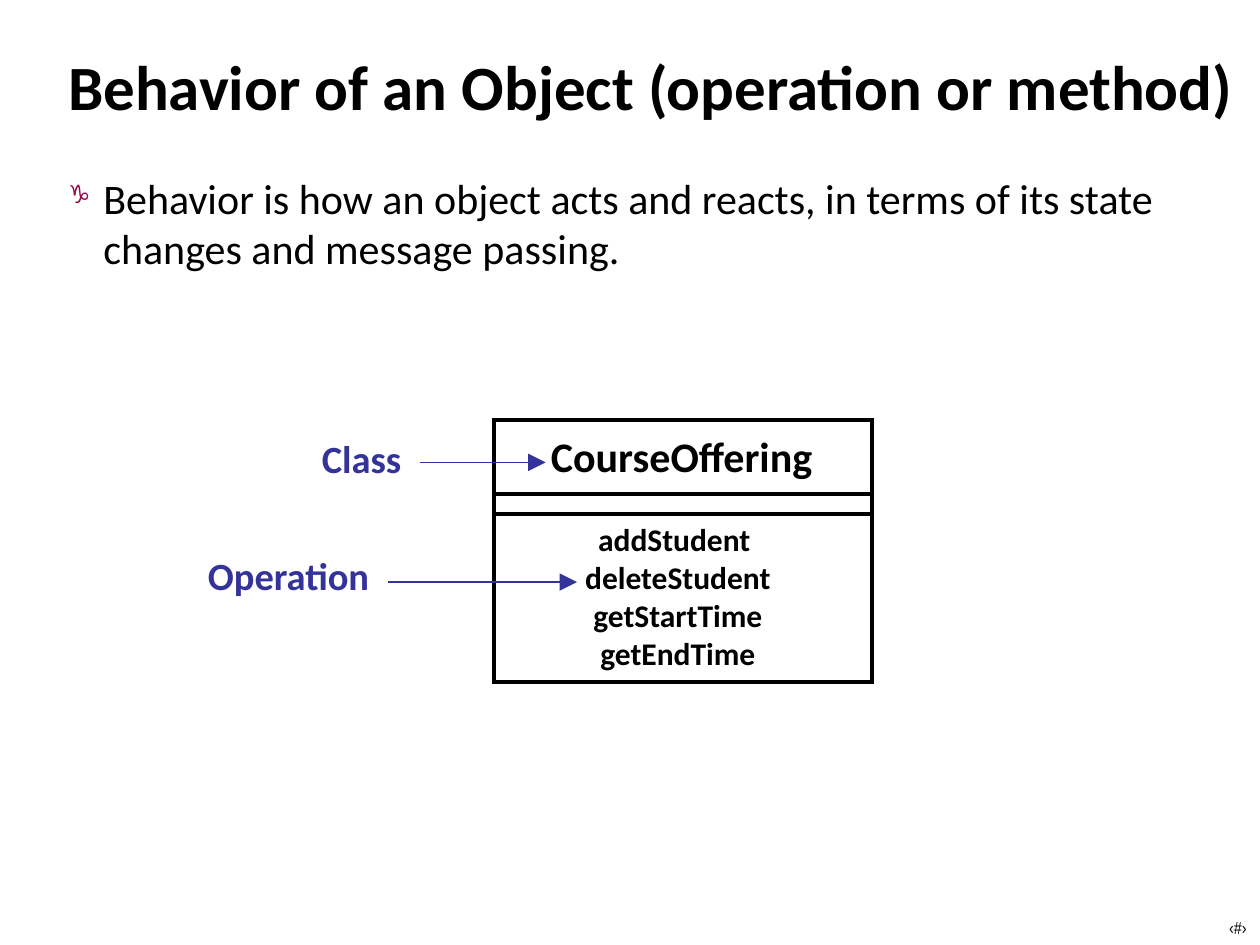
from lxml import etree
from pptx import Presentation
from pptx.dml.color import RGBColor
from pptx.enum.shapes import MSO_CONNECTOR, MSO_SHAPE
from pptx.enum.text import MSO_ANCHOR, PP_ALIGN
from pptx.oxml.ns import qn
from pptx.util import Inches, Pt

CENTER, LEFT = PP_ALIGN.CENTER, PP_ALIGN.LEFT
TOP, MIDDLE = MSO_ANCHOR.TOP, MSO_ANCHOR.MIDDLE
STRAIGHT = MSO_CONNECTOR.STRAIGHT
RECTANGLE = MSO_SHAPE.RECTANGLE

COLORS = {"black": "000000", "label": "333399", "bullet": "950849"}
SQUARE = "g"  # the filled square in Wingdings


def color(name):
    return RGBColor.from_string(COLORS[name])


def add_bullet(para, symbol, indent, percent):
    """Give a paragraph a hanging, coloured Wingdings bullet."""
    props = para._p.get_or_add_pPr()
    props.set("marL", str(Inches(indent)))
    props.set("indent", str(-Inches(indent)))
    tint = etree.SubElement(props, qn("a:buClr"))
    etree.SubElement(tint, qn("a:srgbClr"), val=COLORS["bullet"])
    etree.SubElement(props, qn("a:buSzPct"), val=str(percent * 1000))
    etree.SubElement(props, qn("a:buFont"), typeface="Wingdings",
                     pitchFamily="2", charset="2")
    etree.SubElement(props, qn("a:buChar"), char=symbol)


def add_text(page, text, left, top, width, height, *, size, font="Calibri",
             tint="black", bold=False, align=LEFT, anchor=TOP, wrap=True,
             margins=(0.1, 0.05), bullet=None):
    """Add a text box with one paragraph for each line of text."""
    box = page.shapes.add_textbox(
        Inches(left), Inches(top), Inches(width), Inches(height))
    frame = box.text_frame
    frame.word_wrap = wrap
    frame.vertical_anchor = anchor
    frame.margin_left = frame.margin_right = Inches(margins[0])
    frame.margin_top = frame.margin_bottom = Inches(margins[1])
    frame.text = text
    for para in frame.paragraphs:
        if bullet:
            add_bullet(para, bullet, indent=0.28, percent=60)
        para.alignment = align
        for span in para.runs:
            span.font.name = font
            span.font.size = Pt(size)
            span.font.bold = bold
            span.font.color.rgb = color(tint)


def add_line(page, left, right, y, *, tint="black", weight=2.25, arrow=False):
    """Add a horizontal line, with an arrowhead at its right end if asked."""
    line = page.shapes.add_connector(
        STRAIGHT, Inches(left), Inches(y), Inches(right), Inches(y))
    line.line.color.rgb = color(tint)
    line.line.width = Pt(weight)
    if arrow:
        etree.SubElement(line.line._get_or_add_ln(), qn("a:tailEnd"),
                         type="triangle", w="lg", len="lg")
    etree.SubElement(line._element.spPr, qn("a:effectLst"))


def add_frame(page, left, top, width, height):
    """Add an unfilled outline rectangle with sharp corners."""
    frame = page.shapes.add_shape(
        RECTANGLE, Inches(left), Inches(top), Inches(width), Inches(height))
    frame.shadow.inherit = False
    frame.fill.background()
    frame.line.color.rgb = color("black")
    frame.line.width = Pt(2.25)
    etree.SubElement(frame.line._get_or_add_ln(), qn("a:miter"), lim="800000")


def add_class_box(page, name, operations):
    """Draw the class with its name, attribute and operation compartments."""
    left, top, width = 3.92, 3.33, 3
    add_frame(page, left, top, width, 2.08)
    add_text(page, name, 4.36, 3.42, 2.1, 0.4, size=24, bold=True,
             align=CENTER, wrap=False, margins=(0, 0))
    for divider in (3.92, 4.08):
        add_line(page, left, left + width, divider)
    add_text(page, "\n".join(operations), left, 4.08, 2.92, 1.6, size=18,
             bold=True, align=CENTER)


def main():
    deck = Presentation()
    deck.slide_width, deck.slide_height = Inches(10), Inches(7.5)
    page = deck.slides.add_slide(deck.slide_layouts[6])

    # Slide number, title and definition
    add_text(page, "‹#›", 9.7, 7.23, 0.25, 0.25, size=10, font="Arial Narrow",
             align=CENTER, wrap=False, margins=(0.05, 0.05))
    add_text(page, "Behavior of an Object (operation or method)",
             0.5, 0.08, 9.42, 1.19, size=36, bold=True, anchor=MIDDLE,
             margins=(0.04, 0.04))
    add_text(page, "Behavior is how an object acts and reacts, in terms of "
             "its state changes and message passing.",
             0.5, 1.33, 9.08, 6.17, size=24, margins=(0.04, 0.04),
             bullet=SQUARE)

    # Class diagram
    add_class_box(page, "CourseOffering", [
        "addStudent ", "deleteStudent", "getStartTime", "getEndTime"])

    # Labels with arrows into the diagram
    for text, left, top, start, end, y in (
            ("Class", 1.58, 3.4, 3.33, 4.33, 3.67),
            ("Operation", 1, 4.33, 3.08, 4.58, 4.62)):
        add_text(page, text, left, top, 2.58, 0.47, size=22, tint="label",
                 bold=True, align=CENTER)
        add_line(page, start, end, y, tint="label", weight=1, arrow=True)

    deck.save("out.pptx")


if __name__ == "__main__":
    main()
